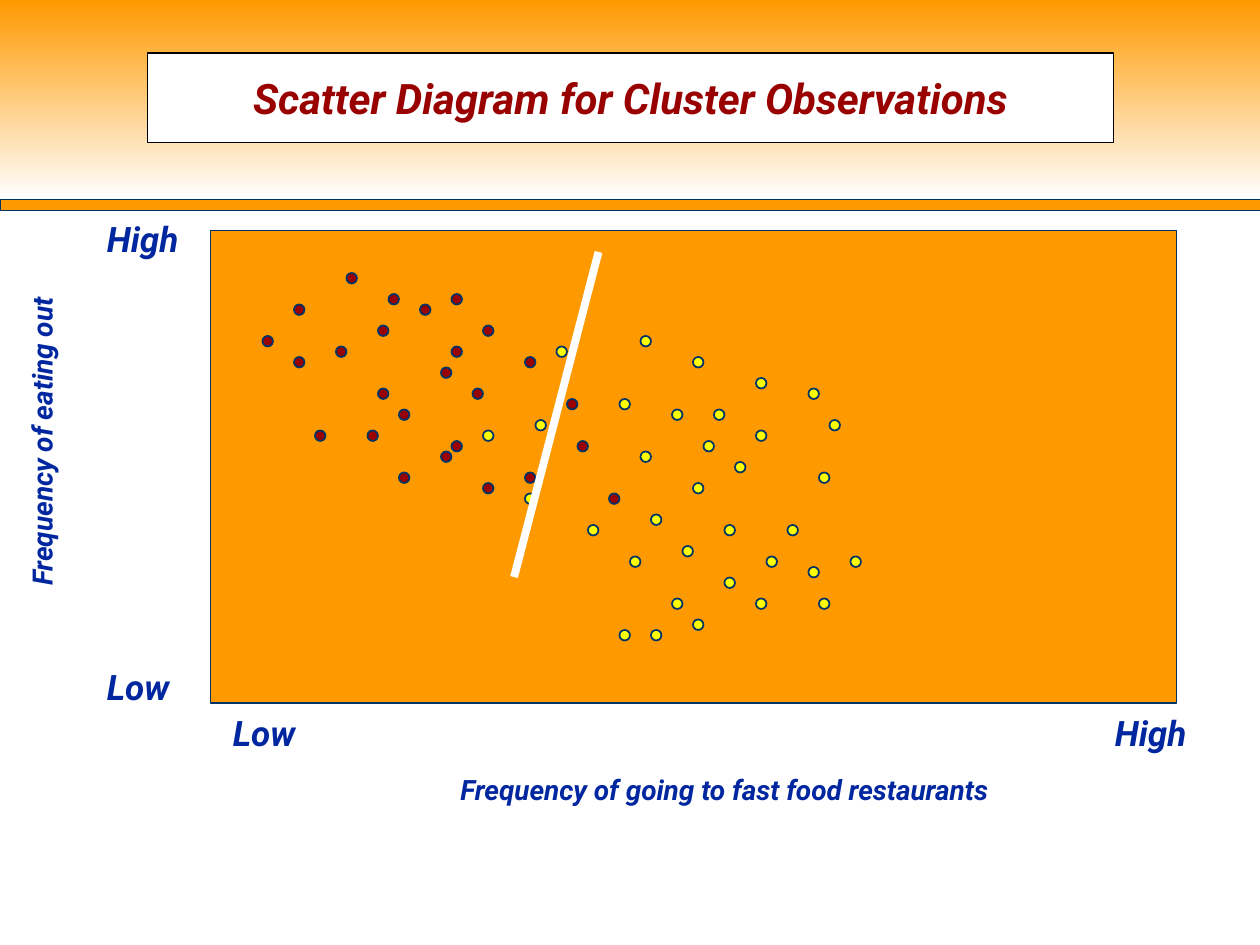
from lxml import etree
from pptx import Presentation
from pptx.dml.color import RGBColor
from pptx.enum import shapes, text
from pptx.oxml import ns
from pptx.util import Inches, Pt

COLORS = {
    "orange": "FF9900",
    "white": "FFFFFF",
    "black": "000000",
    "navy": "003366",
    "blue": "00279F",
    "red": "990000",
    "yellow": "FFFF00",
}
GRID = 1 / 12
RED_DOTS = [
    (33, 26), (28, 29), (28, 34), (30, 41), (37, 28), (40, 29), (43, 33),
    (35, 41), (55, 42), (58, 47), (38, 45), (25, 32), (32, 33), (36, 31),
    (42, 35), (43, 42), (50, 45), (45, 37), (50, 34), (43, 28), (36, 37),
    (38, 39), (46, 46), (42, 43), (54, 38), (46, 31),
]
YELLOW_DOTS = [
    (61, 32), (50, 47), (59, 38), (60, 53), (64, 57), (68, 39), (62, 60),
    (66, 59), (72, 57), (73, 53), (75, 50), (77, 37), (78, 45), (77, 54),
    (78, 57), (81, 53), (64, 39), (62, 49), (61, 43), (69, 55), (67, 42),
    (66, 46), (69, 50), (70, 44), (72, 41), (79, 40), (65, 52), (72, 36),
    (46, 41), (51, 40), (66, 34), (56, 50), (59, 60), (53, 33),
]


def rgb(name):
    return RGBColor.from_string(COLORS[name])


class Page:
    font = {"name": "Roboto", "bold": True, "italic": True}

    def __init__(self, deck):
        self.page = deck.slides.add_slide(deck.slide_layouts[6])

    def shape(self, kind, place, fill, line=None, width=0.75):
        shape = self.page.shapes.add_shape(kind, *map(Inches, place))
        shape.shadow.inherit = False
        shape.fill.solid()
        shape.fill.fore_color.rgb = rgb(fill)
        if line:
            shape.line.color.rgb = rgb(line)
            shape.line.width = Pt(width)
        else:
            shape.line.fill.background()
        return shape

    def rectangle(self, *args, **options):
        return self.shape(shapes.MSO_SHAPE.RECTANGLE, *args, **options)

    def header(self, place, top, bottom):
        band = self.rectangle(place, top)
        band.fill.gradient()
        band.fill.gradient_angle = 270
        for stop, color in zip(band.fill.gradient_stops, (top, bottom)):
            stop.color.rgb = rgb(color)

    def dots(self, cells, color):
        for column, row in cells:
            place = (column * GRID, row * GRID, GRID, GRID)
            self.shape(shapes.MSO_SHAPE.FLOWCHART_CONNECTOR, place, color, "navy", 1)

    def caption(self, box, words, size, color, align=text.PP_ALIGN.CENTER):
        frame = box.text_frame
        frame.word_wrap = True
        frame.vertical_anchor = text.MSO_ANCHOR.MIDDLE
        para = frame.paragraphs[0]
        para.alignment = align
        span = para.add_run()
        span.text = words
        for name, value in {**self.font, "size": Pt(size)}.items():
            setattr(span.font, name, value)
        span.font.color.rgb = rgb(color)

    def label(self, place, words, size, align=text.PP_ALIGN.CENTER, vertical=False):
        box = self.page.shapes.add_textbox(*map(Inches, place))
        self.caption(box, words, size, "blue", align)
        if vertical:
            box.text_frame._txBody.bodyPr.set("vert", "vert270")

    def line(self, start, end, color, width):
        line = self.page.shapes.add_connector(
            shapes.MSO_CONNECTOR.STRAIGHT, *map(Inches, start + end))
        line.line.color.rgb = rgb(color)
        line.line.width = Pt(width)
        etree.SubElement(line._element.spPr, ns.qn("a:effectLst"))


def main():
    deck = Presentation()
    deck.slide_width, deck.slide_height = Inches(10), Inches(7.5)
    page = Page(deck)

    page.rectangle((0, 1.58, 10, 0.09), "orange", "navy", width=0.25)
    page.header((0, 0, 10, 1.58), "orange", "white")
    title = page.rectangle((1.17, 0.42, 7.67, 0.71), "white", "black")
    page.caption(title, "Scatter Diagram for Cluster Observations", 24, "red")

    page.rectangle((1.67, 1.83, 7.67, 3.75), "orange", "navy")
    page.dots(YELLOW_DOTS, "yellow")
    page.dots(RED_DOTS, "red")
    page.line((4.08, 4.58), (4.75, 2), "white", 4.5)

    for left, top, words in (
        (0.75, 1.68, "High"),
        (0.75, 5.23, "Low"),
        (1.75, 5.6, "Low"),
        (8.75, 5.6, "High"),
    ):
        page.label((left, top, 0.9, 0.43), words, 20, text.PP_ALIGN.LEFT)
    page.label((3, 6.08, 5.5, 0.37), "Frequency of going to fast food restaurants", 16)
    page.label((0.13, 1.67, 0.4, 3.67), "Frequency of eating out", 16, vertical=True)

    deck.save("out.pptx")


if __name__ == "__main__":
    main()
